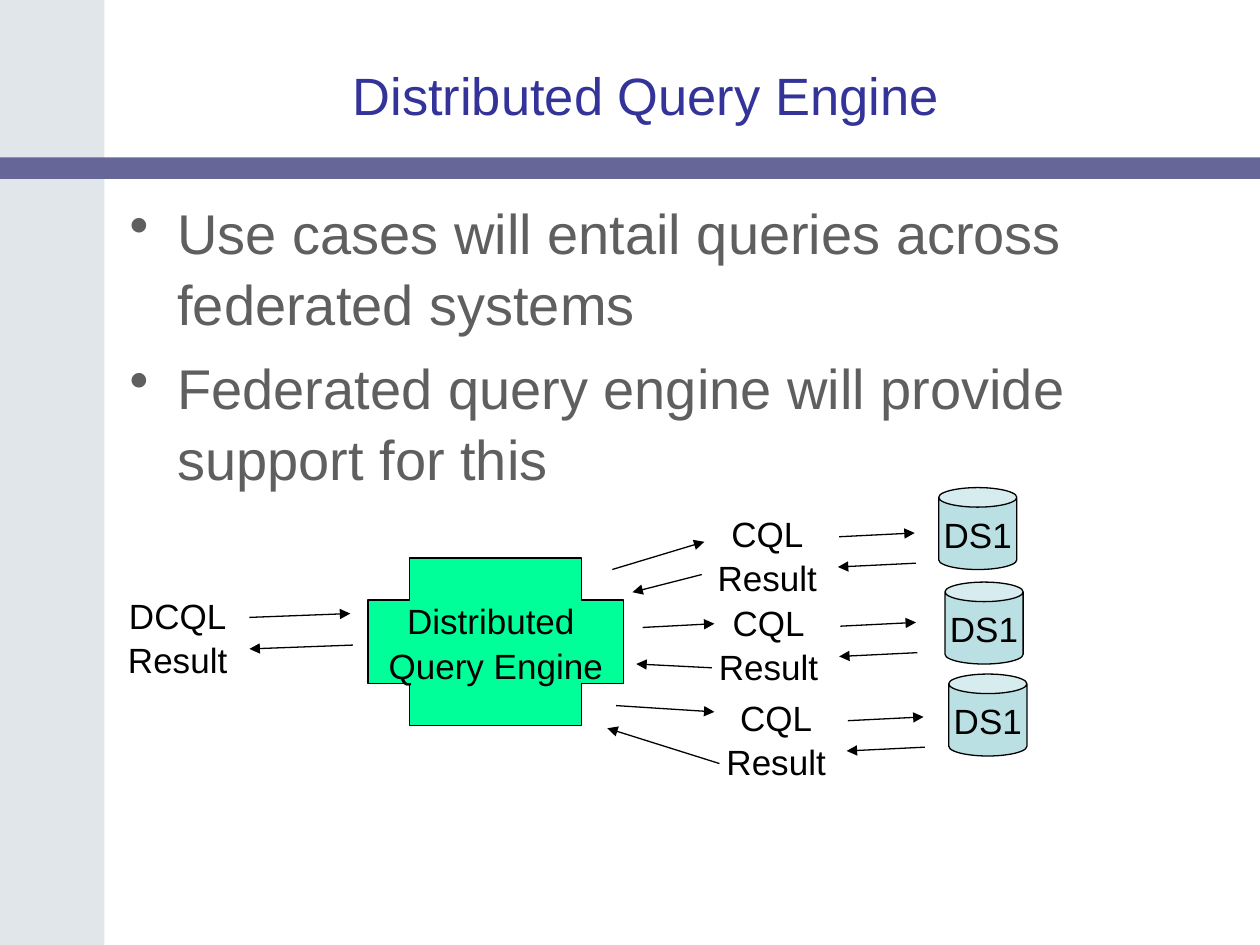
from pptx import Presentation, util as u
from pptx.dml.color import RGBColor
from pptx.enum import shapes, text
from pptx.oxml import parse_xml
from pptx.oxml.ns import nsdecls

SHAPE = shapes.MSO_SHAPE
BLACK = "000000"
GREY = "5F5F5F"


def color(hex_code):
    """Turn a hex string into a colour."""
    return RGBColor.from_string(hex_code)


def drawing_element(tag, attributes=""):
    """Make an empty DrawingML element."""
    return parse_xml(f"<a:{tag} {nsdecls('a')} {attributes}/>")


def add_run(paragraph, words, size, hex_code):
    """Add one Arial run to a paragraph."""
    run = paragraph.add_run()
    run.text = words
    run.font.name = "Arial"
    run.font.size = u.Pt(size)
    run.font.color.rgb = color(hex_code)


def fill_label(frame, lines, size=20, hex_code=BLACK, wrap=False):
    """Write centred lines in the middle of a text frame."""
    frame.word_wrap = wrap
    frame.vertical_anchor = text.MSO_ANCHOR.MIDDLE
    paragraph = frame.paragraphs[0]
    paragraph.alignment = text.PP_ALIGN.CENTER
    paragraph.line_spacing = 1.05
    for number, line in enumerate(lines):
        if number:
            paragraph.add_line_break()
        add_run(paragraph, line, size, hex_code)


def add_label(slide, box, lines, **style):
    """Place a centred text label."""
    label = slide.shapes.add_textbox(*map(u.Inches, box))
    fill_label(label.text_frame, lines, **style)


def add_block(slide, kind, box, fill, lines=(), adjustment=None):
    """Place a filled shape, outlined when it carries text."""
    block = slide.shapes.add_shape(kind, *map(u.Inches, box))
    block.shadow.inherit = False
    block.fill.solid()
    block.fill.fore_color.rgb = color(fill)
    if adjustment is not None:
        block.adjustments[0] = adjustment
    if lines:
        block.line.color.rgb = color(BLACK)
        block.line.width = u.Pt(0.75)
        fill_label(block.text_frame, lines)
    else:
        block.line.fill.background()


def add_arrow(slide, x1, y1, x2, y2):
    """Draw a thin black arrow from the first point to the second."""
    arrow = slide.shapes.add_connector(
        shapes.MSO_CONNECTOR.STRAIGHT, *map(u.Inches, (x1, y1, x2, y2)))
    arrow.line.color.rgb = color(BLACK)
    arrow.line.width = u.Pt(0.75)
    arrow.line._get_or_add_ln().append(drawing_element("tailEnd", 'type="triangle"'))
    arrow._element.spPr.append(drawing_element("effectLst"))


def add_bullets(slide, box, points):
    """Place the bulleted points."""
    frame = slide.shapes.add_textbox(*map(u.Inches, box)).text_frame
    frame.word_wrap = True
    for number, point in enumerate(points):
        paragraph = frame.add_paragraph() if number else frame.paragraphs[0]
        paragraph.line_spacing = 1.05
        if number:
            paragraph.space_before = u.Pt(8)
        properties = paragraph._p.get_or_add_pPr()
        properties.set("marL", str(u.Inches(0.38)))
        properties.set("indent", str(u.Inches(-0.38)))
        properties.append(drawing_element("buChar", 'char="•"'))
        add_run(paragraph, point, 32, GREY)


def add_source(slide, query_left, query_top, store_left, store_top):
    """Place one data source with its query, result and arrows."""
    add_label(slide, (query_left, query_top, 1.08, 0.7), ["CQL", "Result"])
    add_block(slide, SHAPE.CAN, (store_left, store_top, 0.62, 0.65), "BBE0E3", ["DS1"])
    add_arrow(slide, query_left + 1.11, query_top + 0.21,
              query_left + 1.71, query_top + 0.18)
    add_arrow(slide, query_left + 1.72, query_top + 0.42,
              query_left + 1.1, query_top + 0.45)


def main():
    """Build the slide and save it."""
    deck = Presentation()
    deck.slide_width, deck.slide_height = u.Inches(10), u.Inches(7.5)
    slide = deck.slides.add_slide(deck.slide_layouts[6])

    add_block(slide, SHAPE.RECTANGLE, (0, 0, 0.83, 7.5), "E1E6EB")
    add_block(slide, SHAPE.ROUNDED_RECTANGLE, (0, 1.25, 10, 0.17), "666699", adjustment=0.01)
    add_label(slide, (0.75, 0.3, 8.75, 0.87), ["Distributed Query Engine"],
              size=30, hex_code="333399", wrap=True)
    add_bullets(slide, (0.93, 1.5, 8.57, 5.33), [
        "Use cases will entail queries across federated systems",
        "Federated query engine will provide support for this",
    ])

    add_label(slide, (0.87, 4.7, 1.08, 0.7), ["DCQL", "Result"])
    add_block(slide, SHAPE.CROSS, (2.92, 4.43, 2.03, 1.33), "00FF99",
              ["Distributed ", "Query Engine"], adjustment=0.25)
    sources = [
        (5.55, 4.05, 7.45, 3.87),
        (5.56, 4.76, 7.5, 4.62),
        (5.62, 5.51, 7.53, 5.35),
    ]
    for source in sources:
        add_source(slide, *source)

    engine_arrows = [
        (1.98, 4.9, 2.78, 4.87), (2.8, 5.12, 1.98, 5.15),
        (4.86, 4.52, 5.59, 4.3), (5.57, 4.56, 5.02, 4.7),
        (5.1, 4.98, 5.67, 4.95), (5.65, 5.3, 5.05, 5.27),
        (4.89, 5.6, 5.67, 5.65), (5.71, 6.06, 4.82, 5.78),
    ]
    for ends in engine_arrows:
        add_arrow(slide, *ends)

    deck.save("out.pptx")


if __name__ == "__main__":
    main()
